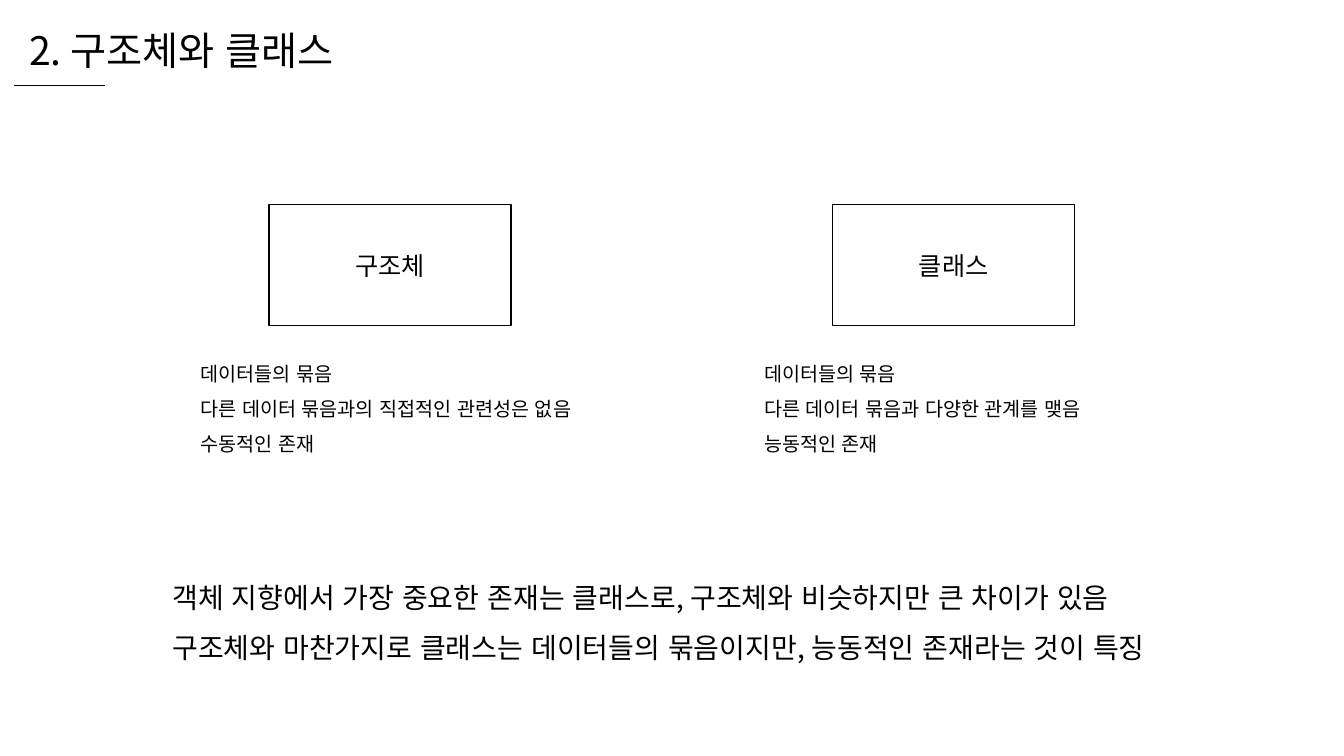
"""Build a slide comparing structs and classes."""
from lxml import etree
from pptx import Presentation
from pptx import util as u
from pptx.dml.color import RGBColor
from pptx.enum import shapes, text
from pptx.oxml.ns import qn

BLACK = RGBColor(0x00, 0x00, 0x00)
WHITE = RGBColor(0xFF, 0xFF, 0xFF)
FONT = "Noto Sans CJK KR"
COLUMN_STEP = 5.59

presentation = Presentation()
presentation.slide_width = u.Inches(13.33)
presentation.slide_height = u.Inches(7.5)
slide = presentation.slides.add_slide(presentation.slide_layouts[6])


def write(shape, lines, size, paragraph_format):
    """Write one paragraph per line in the slide's font."""
    for index, line in enumerate(lines):
        frame = shape.text_frame
        paragraph = frame.add_paragraph() if index else frame.paragraphs[0]
        for name, value in paragraph_format.items():
            setattr(paragraph, name, value)
        run = paragraph.add_run()
        run.text = line
        for name, value in {"size": u.Pt(size), "name": FONT}.items():
            setattr(run.font, name, value)
        run.font.color.rgb = BLACK
        properties = run._r.get_or_add_rPr()
        properties.set("lang", "ko-KR")
        etree.SubElement(properties, qn("a:ea"), typeface=FONT)


def add_text(box, lines, size, paragraph_format):
    """Add an unwrapped text box that fits its text."""
    shape = slide.shapes.add_textbox(*map(u.Inches, box))
    shape.text_frame.word_wrap = False
    shape.text_frame.auto_size = text.MSO_AUTO_SIZE.SHAPE_TO_FIT_TEXT
    write(shape, lines, size, paragraph_format)


add_text((0.19, 0.21, 3.48, 0.57), ["2. 구조체와 클래스"], 28, {})

underline = slide.shapes.add_connector(
    shapes.MSO_CONNECTOR.STRAIGHT, *map(u.Inches, (0.14, 0.85, 1.04, 0.85)))
underline.line.color.rgb = BLACK
underline.line.width = u.Pt(0.5)
etree.SubElement(underline._element.spPr, qn("a:effectLst"))

columns = [
    ("구조체", 3.97, ["데이터들의 묶음", "다른 데이터 묶음과의 직접적인 관련성은 없음", "수동적인 존재"]),
    ("클래스", 3.42, ["데이터들의 묶음", "다른 데이터 묶음과 다양한 관계를 맺음", "능동적인 존재"]),
]
for column, (heading, width, traits) in enumerate(columns):
    offset = column * COLUMN_STEP
    card = slide.shapes.add_shape(
        shapes.MSO_SHAPE.RECTANGLE, *map(u.Inches, (2.67 + offset, 2.03, 2.4, 1.2)))
    card.shadow.inherit = False
    card.fill.solid()
    card.fill.fore_color.rgb = WHITE
    card.line.color.rgb = BLACK
    card.line.width = u.Pt(1)
    card.text_frame.vertical_anchor = text.MSO_ANCHOR.MIDDLE
    write(card, [heading], 18, {"alignment": text.PP_ALIGN.CENTER})
    add_text((1.89 + offset, 3.42, width, 1.12), traits, 14, {"line_spacing": 1.5})

summary = [
    "객체 지향에서 가장 중요한 존재는 클래스로, 구조체와 비슷하지만 큰 차이가 있음",
    "구조체와 마찬가지로 클래스는 데이터들의 묶음이지만, 능동적인 존재라는 것이 특징",
]
add_text((1.61, 5.54, 10.12, 1.05), summary, 20, {"line_spacing": 1.5})

presentation.save("out.pptx")
